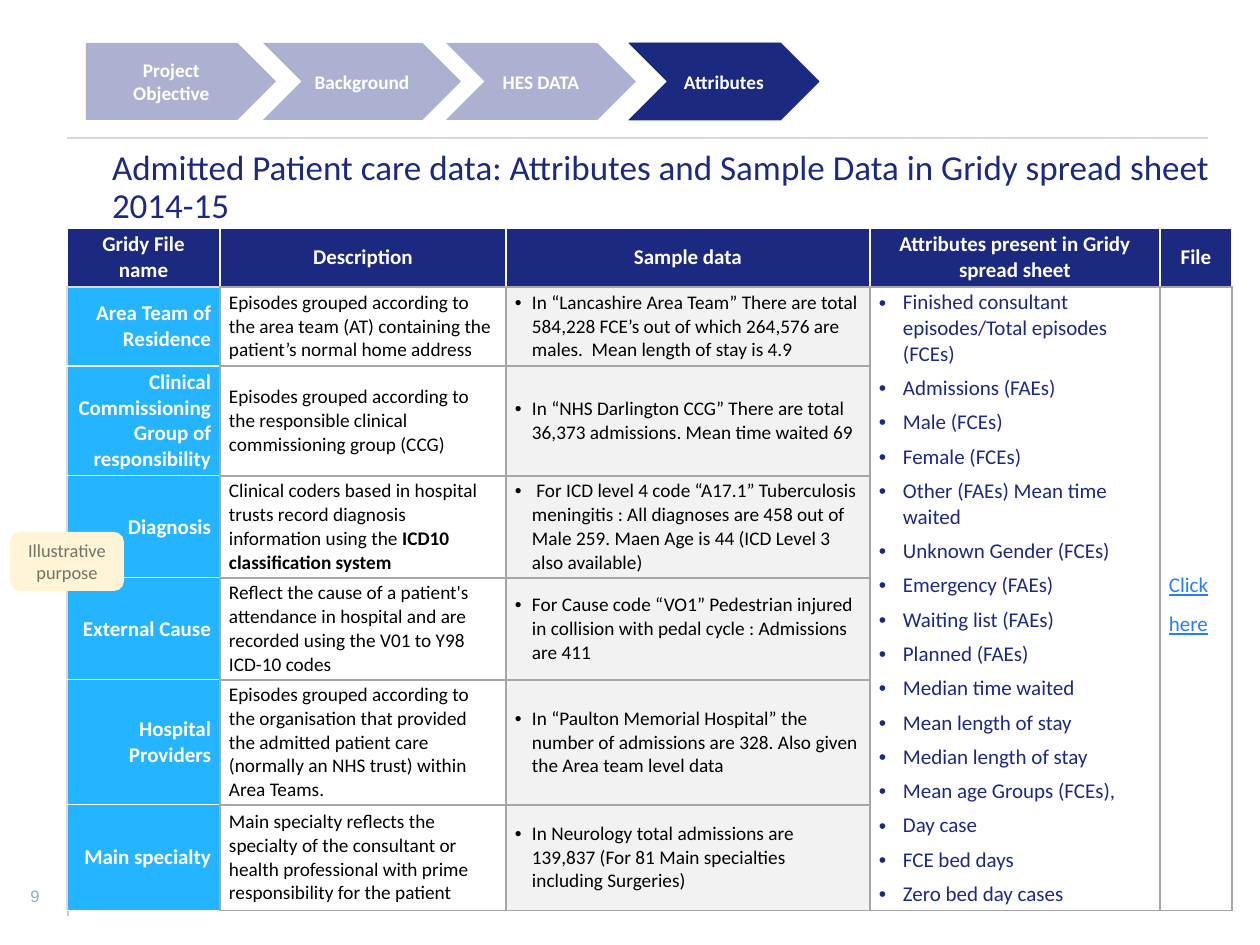
from lxml import etree
from pptx import Presentation
from pptx.dml.color import RGBColor
from pptx.enum import shapes, text
from pptx.oxml import parse_xml
from pptx.oxml.ns import nsdecls, qn
from pptx.util import Emu, Pt

SCALE = 914400 / 126
COLORS = {
    "navy": "1C2980", "sky": "25B4FF", "white": "FFFFFF", "black": "000000",
    "pale": "F2F2F2", "grid": "A6A6A6", "light": "D9D9D9", "rule": "D9DAD5",
    "tick": "CACCC5", "number": "8EAFBF", "cream": "FFF5D6", "olive": "707365",
    "link": "297DFD",
}
ALIGN = text.PP_ALIGN
MIDDLE = text.MSO_ANCHOR.MIDDLE


def px(*values):
    return [Emu(round(value * SCALE)) for value in values]


def add_span(para, words, size, color, bold=False, font="Calibri"):
    span = para.add_run()
    span.text = words
    span.font.size = Pt(size)
    span.font.name = font
    span.font.bold = bold
    span.font.color.rgb = RGBColor.from_string(COLORS[color])
    return span


deck = Presentation()
deck.slide_width, deck.slide_height = px(1260, 945)
page = deck.slides.add_slide(deck.slide_layouts[6])

for x1, y1, x2, y2, color, width in [
    (68, 876, 68, 916, "tick", 0.75),
    (67, 138, 1208, 138, "rule", 1.25),
]:
    line = page.shapes.add_connector(shapes.MSO_CONNECTOR.STRAIGHT, *px(x1, y1, x2, y2))
    line.line.color.rgb = RGBColor.from_string(COLORS[color])
    line.line.width = Pt(width)
    etree.SubElement(line._element.spPr, qn("a:effectLst"))

HEADERS = ["Gridy File name", "Description", "Sample data",
           "Attributes present in Gridy spread sheet", "File"]
ROWS = [
    ("Area Team of Residence",
     ["Episodes grouped according to the area team (AT) containing the patient’s normal home address"],
     "In “Lancashire Area Team” There are total 584,228 FCE’s out of which 264,576 are males.  Mean length of stay is 4.9"),
    ("Clinical Commissioning Group of responsibility",
     ["Episodes grouped according to the responsible clinical commissioning group (CCG)"],
     "In “NHS Darlington CCG” There are total 36,373 admissions. Mean time waited 69"),
    ("Diagnosis",
     ["Clinical coders based in hospital trusts record diagnosis information using the ",
      "ICD10 classification system"],
     " For ICD level 4 code “A17.1” Tuberculosis meningitis : All diagnoses are 458 out of Male 259. Maen Age is 44 (ICD Level 3 also available)"),
    ("External Cause",
     ["Reflect the cause of a patient's attendance in hospital and are recorded using the V01 to Y98 ICD-10 codes"],
     "For Cause code “VO1” Pedestrian injured in collision with pedal cycle : Admissions are 411"),
    ("Hospital Providers",
     ["Episodes grouped according to the organisation that provided the admitted patient care (normally an NHS trust) within Area Teams."],
     "In “Paulton Memorial Hospital” the number of admissions are 328. Also given the Area team level data"),
    ("Main specialty",
     ["Main specialty reflects the specialty of the consultant or health professional with prime responsibility for the patient"],
     "In Neurology total admissions are 139,837 (For 81 Main specialties including Surgeries)"),
]
ATTRIBUTES = [
    "Finished consultant episodes/Total episodes (FCEs)", "Admissions (FAEs)",
    "Male (FCEs)", "Female (FCEs)", "Other (FAEs) Mean time waited",
    "Unknown Gender (FCEs)", "Emergency (FAEs)", "Waiting list (FAEs)",
    "Planned (FAEs)", "Median time waited", "Mean length of stay",
    "Median length of stay", "Mean age Groups (FCEs),", "Day case",
    "FCE bed days", "Zero bed day cases",
]
WIDTHS = [153, 286, 364, 290, 72]
HEIGHTS = [59, 79, 110, 102, 102, 125, 102]

table = page.shapes.add_table(
    len(HEIGHTS), len(WIDTHS), *px(67, 228, sum(WIDTHS), sum(HEIGHTS))).table
for column, width in zip(table.columns, px(*WIDTHS)):
    column.width = width
for row, height in zip(table.rows, px(*HEIGHTS)):
    row.height = height
for c in (3, 4):
    table.cell(1, c).merge(table.cell(6, c))

for c, words in enumerate(HEADERS):
    para = table.cell(0, c).text_frame.paragraphs[0]
    para.alignment = ALIGN.CENTER
    add_span(para, words, 12, "white", True)

bullets = []
for r, (name, description, sample) in enumerate(ROWS, 1):
    para = table.cell(r, 0).text_frame.paragraphs[0]
    para.alignment = ALIGN.RIGHT
    add_span(para, name, 12, "white", True)
    para = table.cell(r, 1).text_frame.paragraphs[0]
    for i, words in enumerate(description):
        add_span(para, words, 11, "black", i == 1)
    para = table.cell(r, 2).text_frame.paragraphs[0]
    add_span(para, sample, 11, "black")
    bullets.append((para, 17))

frame = table.cell(1, 3).text_frame
for i, words in enumerate(ATTRIBUTES):
    para = frame.add_paragraph() if i else frame.paragraphs[0]
    para.space_before = Pt(5)
    add_span(para, words, 12, "navy")
    bullets.append((para, 24))

para = table.cell(1, 4).text_frame.paragraphs[0]
para.line_spacing = 1.5
add_span(para, "Click here", 12, "link").font.underline = True

for para, indent in bullets:
    props = para._p.get_or_add_pPr()
    hang = px(indent)[0]
    props.set("marL", str(hang))
    props.set("indent", str(-hang))
    etree.SubElement(props, qn("a:buFont"), typeface="Arial")
    etree.SubElement(props, qn("a:buChar"), char="•")

for r in range(len(HEIGHTS)):
    for c in range(len(WIDTHS)):
        cell = table.cell(r, c)
        cell.vertical_anchor = MIDDLE
        cell.margin_left, cell.margin_right, cell.margin_top, cell.margin_bottom = px(9, 9, 3, 3)
        fill = "navy" if r == 0 else ["sky", "white", "pale", "white", "white"][c]
        cell.fill.solid()
        cell.fill.fore_color.rgb = RGBColor.from_string(COLORS[fill])
        edges = {side: ("grid", 1) for side in "LRTB"}
        if r == 0:
            edges.update({side: ("white", 1) for side in "LRT"})
            edges["B"] = ("grid" if c else "light", 1)
        elif c == 0:
            edges.update(L=("light", 1), T=("white", 0.75), B=("white", 0.75))
            if r == 1:
                edges["T"] = ("light", 1)
        for i, (side, (color, width)) in enumerate(edges.items()):
            cell._tc.get_or_add_tcPr().insert(i, parse_xml(
                f'<a:ln{side} {nsdecls("a")} w="{Pt(width)}"><a:solidFill>'
                f'<a:srgbClr val="{COLORS[color]}"/></a:solidFill></a:ln{side}>'))

for x, y, w, h, words, size, color, font, align, anchor, spacing in [
    (20, 886, 30, 20, "9", 9.5, "number", "Arial", ALIGN.CENTER, text.MSO_ANCHOR.TOP, 1.0),
    (112, 138, 1142, 88, "Admitted Patient care data: Attributes and Sample Data in Gridy spread sheet 2014-15",
     20, "navy", "Calibri", ALIGN.LEFT, text.MSO_ANCHOR.BOTTOM, 0.9),
]:
    frame = page.shapes.add_textbox(*px(x, y, w, h)).text_frame
    frame.word_wrap = True
    frame.vertical_anchor = anchor
    frame.margin_left = frame.margin_right = frame.margin_top = frame.margin_bottom = 0
    para = frame.paragraphs[0]
    para.alignment = align
    para.line_spacing = spacing
    add_span(para, words, size, color, font=font)

KINDS = shapes.MSO_SHAPE
for kind, x, y, w, h, fill, alpha, lines, size, color, bold in [
    (KINDS.ROUNDED_RECTANGLE, 10, 532, 114, 59, "cream", 100, ["Illustrative purpose"], 10.5, "olive", False),
    (KINDS.CHEVRON, 263, 43, 198, 77, "navy", 36, ["Background"], 11, "white", True),
    (KINDS.PENTAGON, 86, 43, 190, 77, "navy", 36, ["Project", "Objective"], 11, "white", True),
    (KINDS.CHEVRON, 446, 43, 190, 77, "navy", 36, ["HES DATA"], 11, "white", True),
    (KINDS.CHEVRON, 629, 43, 190, 77, "navy", 100, ["Attributes"], 11, "white", True),
]:
    box = page.shapes.add_shape(kind, *px(x, y, w, h))
    box.shadow.inherit = False
    box.fill.solid()
    box.fill.fore_color.rgb = RGBColor.from_string(COLORS[fill])
    box.line.fill.background()
    if alpha < 100:
        tint = box._element.spPr.find(".//" + qn("a:srgbClr"))
        etree.SubElement(tint, qn("a:alpha"), val=str(alpha * 1000))
    elif fill == "navy":
        box.line.color.rgb = RGBColor.from_string(COLORS["navy"])
        box.line.width = Pt(0.5)
    frame = box.text_frame
    frame.word_wrap = True
    frame.vertical_anchor = MIDDLE
    for i, words in enumerate(lines):
        para = frame.add_paragraph() if i else frame.paragraphs[0]
        para.alignment = ALIGN.CENTER
        add_span(para, words, size, color, bold)

deck.save("out.pptx")
